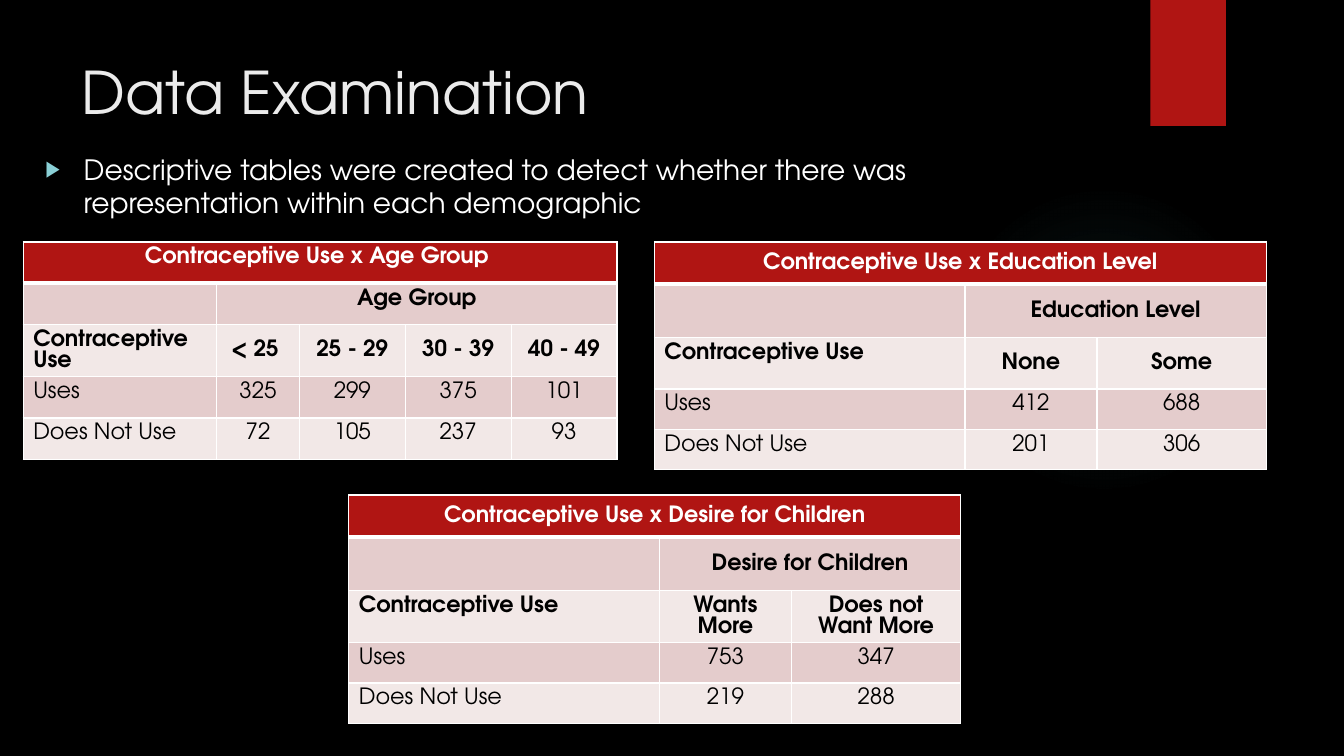
from pptx import Presentation
from pptx import util as u
from pptx.dml.color import RGBColor
from pptx.enum import shapes, text
from pptx.oxml import parse_xml
from pptx.oxml.ns import nsdecls

# Content
TITLE = "Data Examination"
BULLET = ("Descriptive tables were created to detect whether there was "
          "representation within each demographic")
WIDE_COLUMNS = [3.08, 1.31, 1.68]
WIDE_ROWS = [0.42, 0.53, 0.51, 0.4, 0.4]
TABLES = [
    {"at": (0.23, 2.4), "columns": [1.92, 0.82, 1.05, 1.05, 1.05],
     "rows": [0.41, 0.41, 0.51, 0.41, 0.41], "middle_rows": {2},
     "heading": "Contraceptive Use x Age Group ", "group": "Age Group",
     "levels": ["< 25 ", "25 - 29", "30 - 39", "40 - 49"],
     "uses": [325, 299, 375, 101], "does_not": [72, 105, 237, 93]},
    {"at": (6.49, 2.4), "columns": WIDE_COLUMNS,
     "rows": WIDE_ROWS, "middle_rows": {0, 1, 2},
     "heading": "Contraceptive Use x Education Level", "group": "Education Level",
     "levels": ["None", "Some"],
     "uses": [412, 688], "does_not": [201, 306]},
    {"at": (3.46, 4.91), "columns": WIDE_COLUMNS,
     "rows": WIDE_ROWS, "middle_rows": {0, 1, 2},
     "heading": "Contraceptive Use x Desire for Children", "group": "Desire for Children",
     "levels": ["Wants More", "Does not Want More"],
     "uses": [753, 347], "does_not": [219, 288]},
]

# Look
FONT = "TeX Gyre Adventor"
BLACK = RGBColor(0x00, 0x00, 0x00)
WHITE = RGBColor(0xFF, 0xFF, 0xFF)
TITLE_GREY = RGBColor(0xEB, 0xEB, 0xEB)
RED = RGBColor(0xB0, 0x15, 0x13)
DARK_BAND = RGBColor(0xE4, 0xCC, 0xCC)
LIGHT_BAND = RGBColor(0xF2, 0xE8, 0xE7)
AQUA = RGBColor(0x8A, 0xD0, 0xD6)
GLOW = RGBColor(0x50, 0xB9, 0xC1)
GLOW_STOPS = [(0, 7), (36, 6), (69, 0)]
ROW_FILLS = [RED, DARK_BAND, LIGHT_BAND, DARK_BAND, LIGHT_BAND]


def apply_format(target, values):
    for name, value in values.items():
        setattr(target, name, value)


def write(paragraph, words, size, color, bold=False):
    run = paragraph.add_run()
    run.text = words
    apply_format(run.font, {"name": FONT, "size": u.Pt(size), "bold": bold})
    run.font.color.rgb = color


def add_plain_shape(slide, kind, *box):
    shape = slide.shapes.add_shape(kind, *map(u.Inches, box))
    shape.shadow.inherit = False
    shape.line.fill.background()
    return shape


def fill_placeholder(shape, box, words, size, color):
    names = ("left", "top", "width", "height")
    apply_format(shape, dict(zip(names, map(u.Inches, box))))
    apply_format(shape.text_frame, {
        "word_wrap": True, "auto_size": text.MSO_AUTO_SIZE.NONE,
        "vertical_anchor": text.MSO_ANCHOR.TOP})
    paragraph = shape.text_frame.paragraphs[0]
    paragraph.alignment = text.PP_ALIGN.LEFT
    write(paragraph, words, size, color)
    return paragraph


def set_borders(cell, bottom_width):
    properties = cell._tc.get_or_add_tcPr()
    widths = {"lnL": 1, "lnR": 1, "lnT": 1, "lnB": bottom_width}
    for index, (side, width) in enumerate(widths.items()):
        properties.insert(index, parse_xml(
            f'<a:{side} {nsdecls("a")} w="{u.Pt(width)}"><a:solidFill>'
            f'<a:srgbClr val="{WHITE}"/></a:solidFill></a:{side}>'))


def add_data_table(slide, data):
    columns, rows = data["columns"], data["rows"]
    blanks = [""] * (len(columns) - 2)
    grid = [
        [data["heading"], "", *blanks],
        ["", data["group"], *blanks],
        ["Contraceptive Use", *data["levels"]],
        ["Uses", *data["uses"]],
        ["Does Not Use", *data["does_not"]],
    ]
    box = (*data["at"], sum(columns), sum(rows))
    table = slide.shapes.add_table(
        len(rows), len(columns), *map(u.Inches, box)).table
    for column, width in zip(table.columns, columns):
        column.width = u.Inches(width)
    for row, height in zip(table.rows, rows):
        row.height = u.Inches(height)

    for r, values in enumerate(grid):
        for c, value in enumerate(values):
            cell = table.cell(r, c)
            cell.fill.solid()
            cell.fill.fore_color.rgb = ROW_FILLS[r]
            set_borders(cell, 3 if r == 0 else 1)
            if value == "":
                continue
            if r in data["middle_rows"] and (c > 0 or r == 0):
                cell.vertical_anchor = text.MSO_ANCHOR.MIDDLE
            paragraph = cell.text_frame.paragraphs[0]
            centred = c > 0 or r == 0
            apply_format(paragraph, {
                "line_spacing": u.Pt(15),
                "alignment": text.PP_ALIGN.CENTER if centred else text.PP_ALIGN.LEFT})
            write(paragraph, str(value), 16, WHITE if r == 0 else BLACK, bold=r < 3)

    # Heading spans the table, group name spans its levels
    for r in (0, 1):
        table.cell(r, r).merge(table.cell(r, len(columns) - 1))


def main():
    presentation = Presentation()
    presentation.slide_width = u.Inches(13.33)
    presentation.slide_height = u.Inches(7.5)
    slide = presentation.slides.add_slide(presentation.slide_layouts[1])
    slide.background.fill.solid()
    slide.background.fill.fore_color.rgb = BLACK

    # Faint round glow
    glow = add_plain_shape(slide, shapes.MSO_SHAPE.OVAL, 9.41, 1.83, 3.08, 3.08)
    stops = "".join(
        f'<a:gs pos="{position * 1000}"><a:srgbClr val="{GLOW}">'
        f'<a:alpha val="{alpha * 1000}"/></a:srgbClr></a:gs>'
        for position, alpha in GLOW_STOPS)
    glow._element.spPr.find("{*}prstGeom").addnext(parse_xml(
        f'<a:gradFill {nsdecls("a")}><a:gsLst>{stops}</a:gsLst><a:path path="circle">'
        '<a:fillToRect l="50000" t="50000" r="50000" b="50000"/></a:path></a:gradFill>'))

    # Red ribbon
    ribbon = add_plain_shape(slide, shapes.MSO_SHAPE.RECTANGLE, 11.41, 0, 0.75, 1.25)
    ribbon.fill.solid()
    ribbon.fill.fore_color.rgb = RED

    # Title and bullet
    title, body = slide.placeholders
    fill_placeholder(title, (0.71, 0.5, 10.29, 1.53), TITLE, 42, TITLE_GREY)
    bullet = fill_placeholder(body, (0.35, 1.46, 9.78, 4.59), BULLET, 20, WHITE)
    bullet.space_before = u.Pt(10)
    properties = bullet._p.get_or_add_pPr()
    properties.set("marL", str(u.Inches(0.38)))
    properties.set("indent", str(u.Inches(-0.38)))
    for tag in (f'<a:buClr {nsdecls("a")}><a:srgbClr val="{AQUA}"/></a:buClr>',
                f'<a:buSzPct {nsdecls("a")} val="80000"/>',
                f'<a:buChar {nsdecls("a")} char="▶"/>'):
        properties.append(parse_xml(tag))

    # Tables
    for data in TABLES:
        add_data_table(slide, data)

    presentation.save("out.pptx")


if __name__ == "__main__":
    main()
